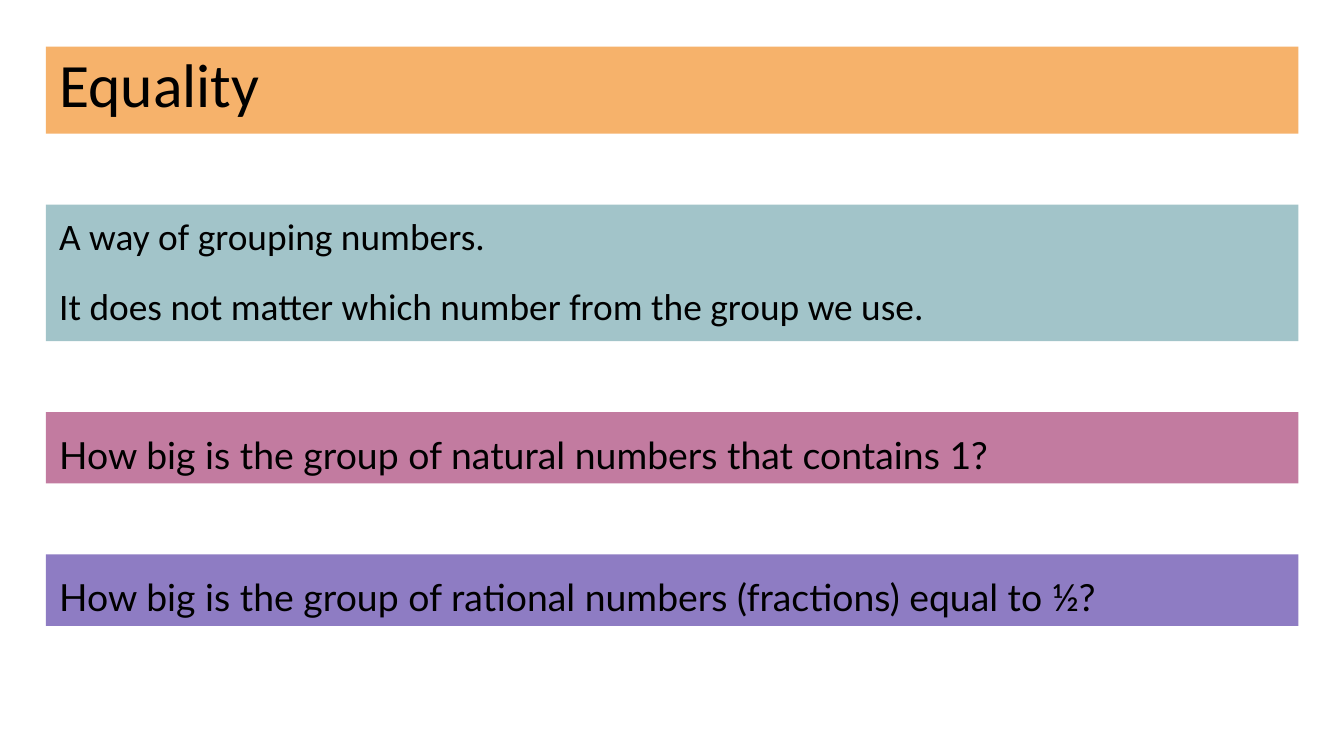
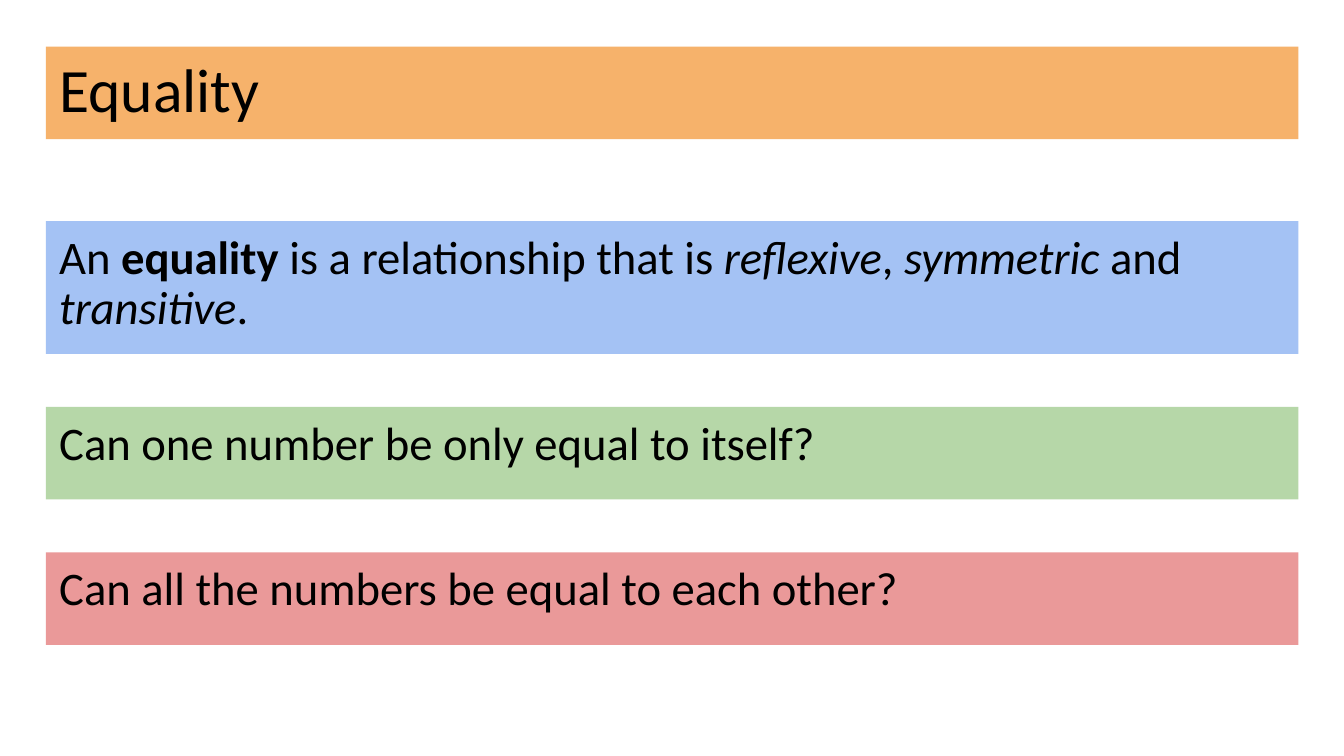
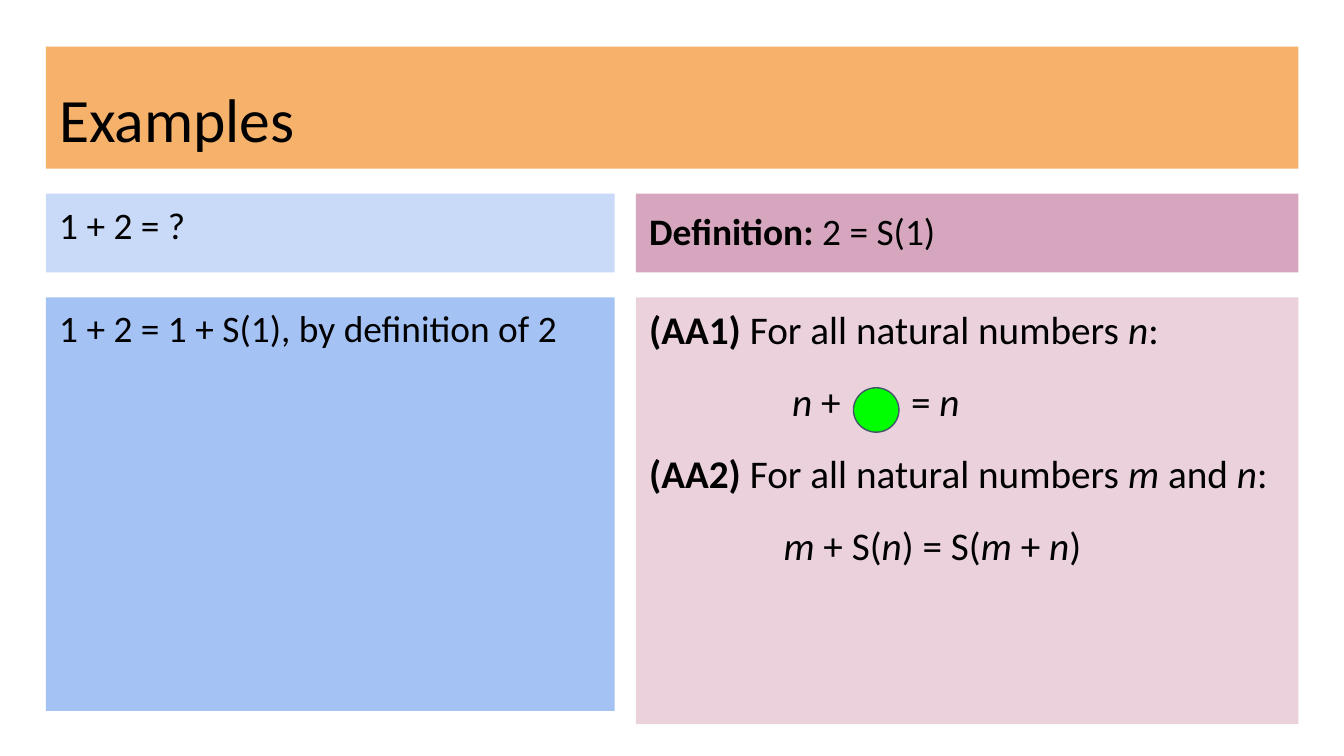
from dataclasses import dataclass

from pptx import Presentation
from pptx.dml.color import RGBColor
from pptx.enum.shapes import MSO_SHAPE
from pptx.enum.text import MSO_ANCHOR
from pptx.slide import Slide
from pptx.util import Cm, Pt

# Colours
BLACK = RGBColor(0x00, 0x00, 0x00)
ORANGE = RGBColor(0xF6, 0xB2, 0x6B)
TEAL = RGBColor(0xA2, 0xC4, 0xC9)
MAGENTA = RGBColor(0xC2, 0x7B, 0xA0)
PURPLE = RGBColor(0x8E, 0x7C, 0xC3)
BLUE = RGBColor(0xA4, 0xC2, 0xF4)
PALE_BLUE = RGBColor(0xC9, 0xDA, 0xF8)
GREEN = RGBColor(0xB6, 0xD7, 0xA8)
RED = RGBColor(0xEA, 0x99, 0x99)
ROSE = RGBColor(0xD5, 0xA6, 0xBD)
PALE_ROSE = RGBColor(0xEA, 0xD1, 0xDC)
LIME = RGBColor(0x00, 0xFF, 0x00)
SLATE = RGBColor(0x44, 0x54, 0x6A)

# Shared layout, in centimetres
LEFT, TOP, WIDTH = 0.87, 0.88, 23.67
INSET = 0.25
PARAGRAPH_GAP = Pt(16)


@dataclass(frozen=True)
class Run:
    """A piece of text; spacing is extra room after each letter, in points."""
    text: str
    bold: bool = False
    italic: bool = False
    spacing: int = 0


@dataclass(frozen=True)
class Line:
    """One paragraph; the indent is in centimetres."""
    runs: tuple[Run, ...]
    indent: float = 0


@dataclass(frozen=True)
class Band:
    lines: tuple[Line, ...]
    fill: RGBColor
    height: float
    size: float = 20
    font: str = "Calibri"
    line_spacing: float = 0.9
    anchor: MSO_ANCHOR = MSO_ANCHOR.TOP


def bold(text: str) -> Run:
    return Run(text, bold=True)


def italic(text: str) -> Run:
    return Run(text, italic=True)


def line(*parts: str | Run, indent: float = 0) -> Line:
    runs = tuple(Run(part) if isinstance(part, str) else part for part in parts)
    return Line(runs, indent)


def title(text: str, height: float) -> Band:
    return Band((line(text),), ORANGE, height, size=33, anchor=MSO_ANCHOR.BOTTOM)


def question(text: str, fill: RGBColor) -> Band:
    return Band((line(text),), fill, 1.35, font="Lato", line_spacing=1.15)


def statement(content: Line, fill: RGBColor, height: float = 1.75) -> Band:
    return Band((content,), fill, height, size=25)


def set_indent(paragraph, indent: float) -> None:
    properties = paragraph._p.get_or_add_pPr()
    properties.set("marL", str(Cm(indent)))
    properties.set("indent", "0")


def draw_band(slide: Slide, band: Band, left: float, top: float, width: float) -> None:
    shape = slide.shapes.add_textbox(Cm(left), Cm(top), Cm(width), Cm(band.height))
    shape.fill.solid()
    shape.fill.fore_color.rgb = band.fill
    frame = shape.text_frame
    frame.word_wrap = True
    frame.vertical_anchor = band.anchor
    frame.margin_left = frame.margin_right = Cm(INSET)
    frame.margin_top = frame.margin_bottom = Cm(INSET)
    for index, content in enumerate(band.lines):
        paragraph = frame.add_paragraph() if index else frame.paragraphs[0]
        paragraph.line_spacing = band.line_spacing
        paragraph.space_before = PARAGRAPH_GAP if index else Pt(0)
        set_indent(paragraph, content.indent)
        paragraph.font.name = band.font
        paragraph.font.size = Pt(band.size)
        paragraph.font.color.rgb = BLACK
        for part in content.runs:
            run = paragraph.add_run()
            run.text = part.text
            if part.bold:
                run.font.bold = True
            if part.italic:
                run.font.italic = True
            if part.spacing:
                run._r.get_or_add_rPr().set("spc", str(part.spacing * 100))


def draw_stack(slide: Slide, bands: list[Band], gap: float, left: float = LEFT,
               top: float = TOP, width: float = WIDTH) -> None:
    """Draw bands below one another with equal gaps."""
    for band in bands:
        draw_band(slide, band, left, top, width)
        top += band.height + gap


def build_grouping(slide: Slide) -> None:
    grouping = (
        line("A way of grouping numbers."),
        line("It does not matter which number from the group we use."),
    )
    draw_stack(slide, [
        title("Equality", 1.65),
        Band(grouping, TEAL, 2.58),
        question("How big is the group of natural numbers that contains 1?", MAGENTA),
        question("How big is the group of rational numbers (fractions) equal to ½?", PURPLE),
    ], gap=1.34)


def build_definition(slide: Slide) -> None:
    definition = line("An ", bold("equality"), " is a relationship that is ",
                      italic("reflexive"), ", ", italic("symmetric "), "and ",
                      italic("transitive"), ".")
    heading = title("Equality", 1.75)
    draw_band(slide, heading, LEFT, TOP, WIDTH)
    draw_stack(slide, [
        statement(definition, BLUE, 2.51),
        statement(line("Can one number be only equal to itself?"), GREEN),
        statement(line("Can all the numbers be equal to each other?"), RED),
    ], gap=1, top=4.18)


def build_examples(slide: Slide) -> None:
    row_gap, column_gap, left_width = 0.47, 0.4, 10.75
    heading = title("Examples", 2.31)
    draw_band(slide, heading, LEFT, TOP, WIDTH)
    columns_top = TOP + heading.height + row_gap

    # Worked sum
    draw_stack(slide, [
        Band((line("1 + 2 = ?"),), PALE_BLUE, 1.49),
        Band((line("1 + 2 = 1 + S(1), by definition of 2"),), BLUE, 7.82),
    ], row_gap, top=columns_top, width=left_width)

    # Definition and axioms; a widened space leaves room for the circle
    m, n = italic("m"), italic("n")
    circle_room = Run(" ", spacing=33)
    axioms = (
        line(bold("(AA1)"), " For all natural numbers ", n, ":"),
        line(n, " +", circle_room, "= ", n, indent=2.7),
        line(bold("(AA2)"), " For all natural numbers ", m, " and ", n, ":"),
        line(m, " + S(", n, ") = S(", m, " + ", n, ")", indent=2.54),
    )
    draw_stack(slide, [
        Band((line(bold("Definition: "), "2 = S(1)"),), ROSE, 1.49,
             anchor=MSO_ANCHOR.MIDDLE),
        Band(axioms, PALE_ROSE, 8.07, size=21),
    ], row_gap, left=LEFT + left_width + column_gap, top=columns_top,
        width=WIDTH - left_width - column_gap)

    # Circle standing in for the neutral number
    circle = slide.shapes.add_shape(MSO_SHAPE.OVAL, Cm(16.13), Cm(7.33), Cm(0.86), Cm(0.84))
    circle.shadow.inherit = False
    circle.fill.solid()
    circle.fill.fore_color.rgb = LIME
    circle.line.color.rgb = SLATE
    circle.line.width = Pt(0.75)


def main() -> None:
    presentation = Presentation()
    presentation.slide_width = Cm(25.4)
    presentation.slide_height = Cm(14.29)
    blank = presentation.slide_layouts[6]
    for build in (build_grouping, build_definition, build_examples):
        build(presentation.slides.add_slide(blank))
    presentation.save("out.pptx")


if __name__ == "__main__":
    main()
